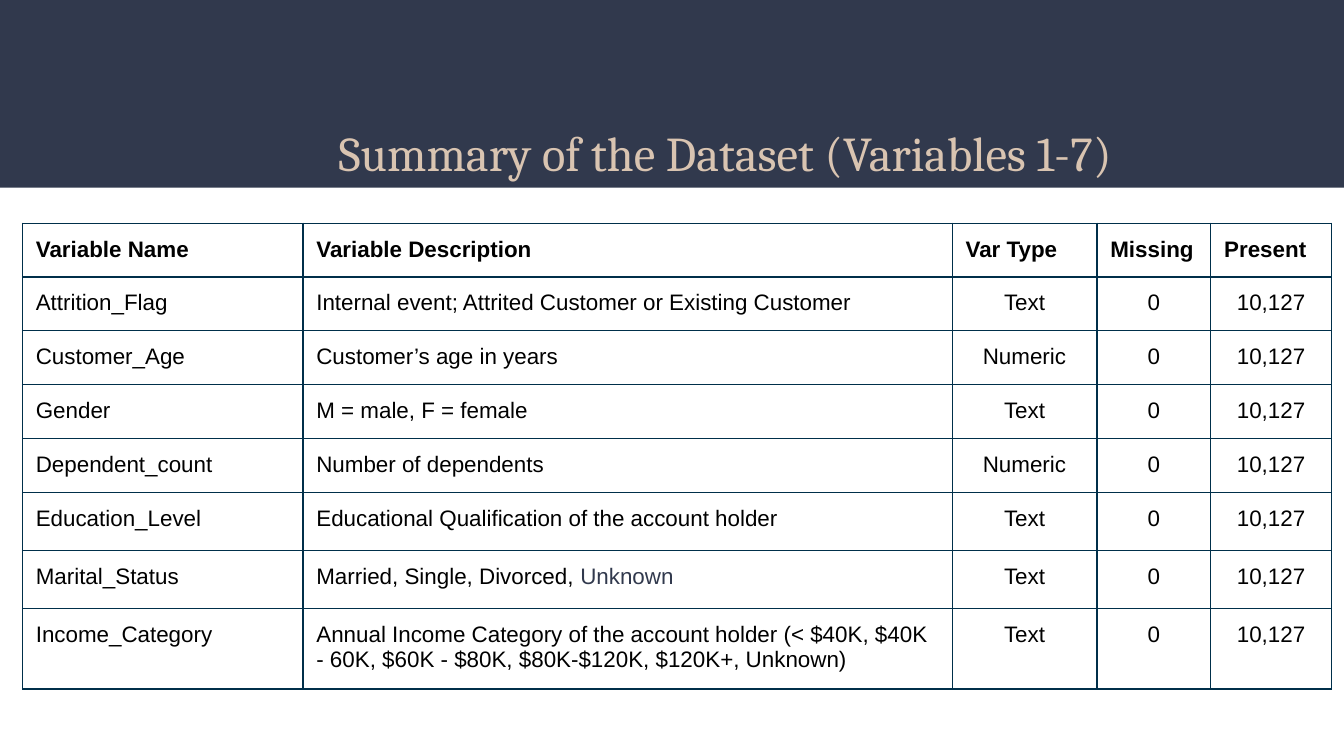
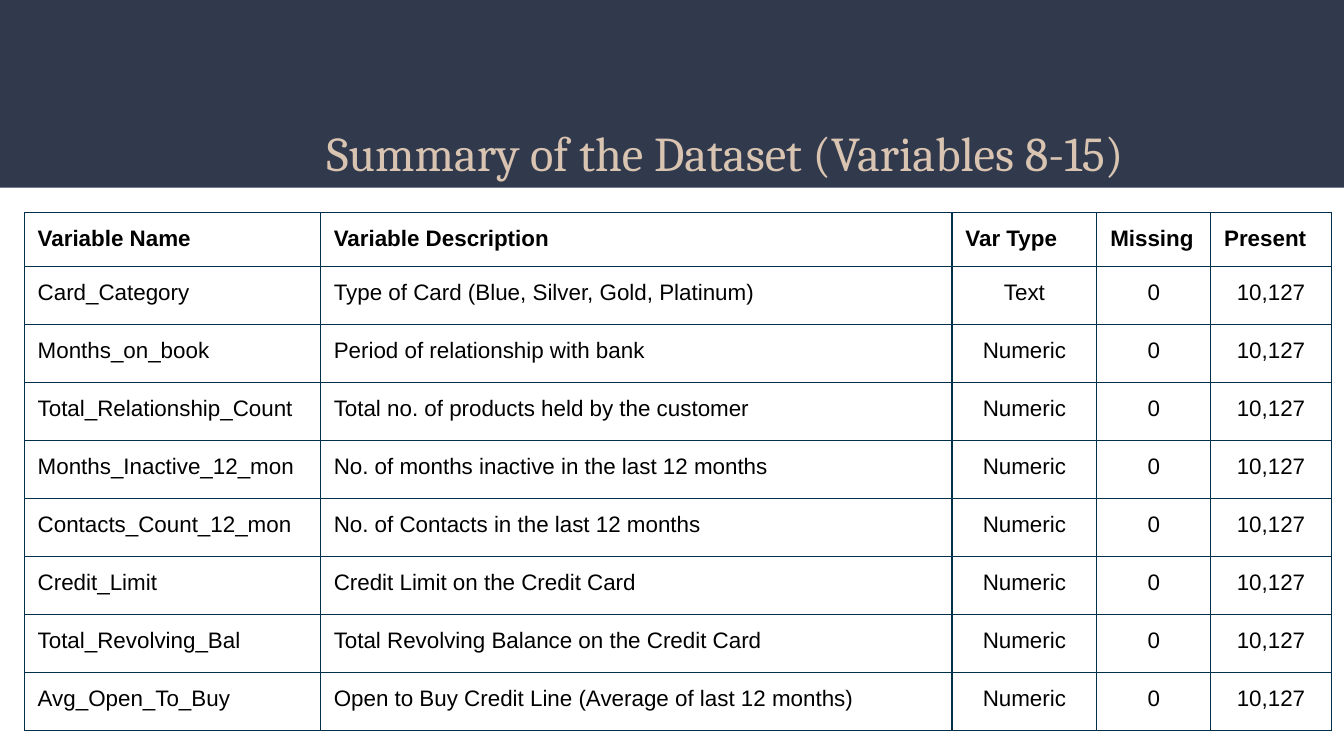
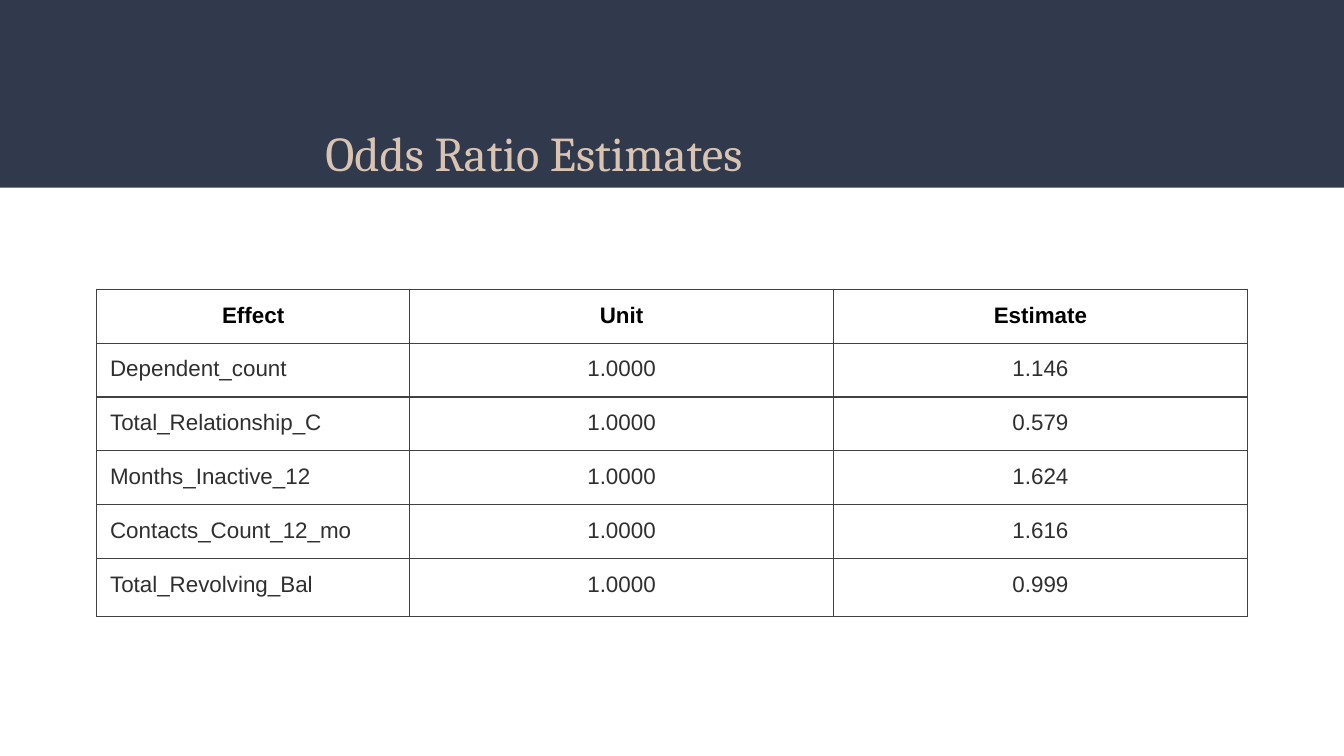
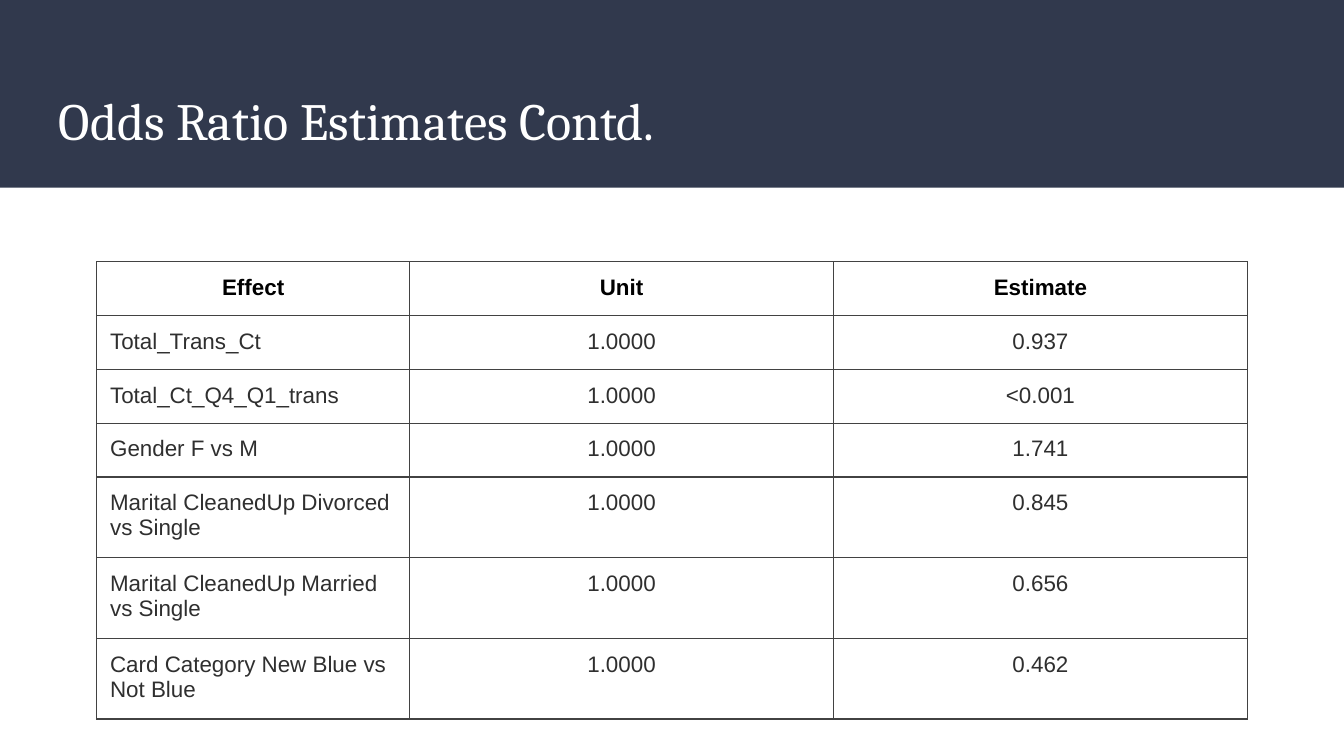
from pptx import Presentation
from pptx.dml.color import RGBColor
from pptx.enum.shapes import MSO_SHAPE as Shape
from pptx.enum.text import MSO_ANCHOR as Anchor, MSO_AUTO_SIZE as AutoSize, PP_ALIGN as Align
from pptx.oxml import parse_xml
from pptx.oxml.ns import nsdecls
from pptx.util import Pt

# Shared look
NAVY = RGBColor(0x31, 0x39, 0x4D)
SAND = RGBColor(0xD9, 0xC4, 0xB1)
WHITE = RGBColor(0xFF, 0xFF, 0xFF)
BLACK = RGBColor(0x00, 0x00, 0x00)
CHARCOAL = RGBColor(0x2F, 0x2F, 0x2F)
BLUE_RULE = RGBColor(0x00, 0x2F, 0x4A)
GREY_RULE = RGBColor(0x42, 0x42, 0x42)
TITLE_FONT, BODY_FONT = "Cambria", "Arial"
SLIDE_WIDTH, SLIDE_HEIGHT, BAND_HEIGHT = 720, 405, 100.6
INSET = 7.2
ROW, TALL_ROW = 28.8, 31.1
RULE_WIDTH = 0.75

# Table contents
SUMMARY_HEADER = ("Variable Name", "Variable Description", "Var Type", "Missing", "Present")
COUNTS = ("0", "10,127")
VARIABLES_1_TO_7 = [
    ("Attrition_Flag", "Internal event; Attrited Customer or Existing Customer", "Text"),
    ("Customer_Age", "Customer’s age in years", "Numeric"),
    ("Gender", "M = male, F = female", "Text"),
    ("Dependent_count", "Number of dependents", "Numeric"),
    ("Education_Level", "Educational Qualification of the account holder", "Text"),
    ("Marital_Status", ("Married, Single, Divorced, ", "Unknown"), "Text"),
    ("Income_Category", "Annual Income Category of the account holder "
     "(< $40K, $40K - 60K, $60K - $80K, $80K-$120K, $120K+, Unknown)", "Text"),
]
VARIABLES_8_TO_15 = [
    ("Card_Category", "Type of Card (Blue, Silver, Gold, Platinum)", "Text"),
    ("Months_on_book", "Period of relationship with bank", "Numeric"),
    ("Total_Relationship_Count", "Total no. of products held by the customer", "Numeric"),
    ("Months_Inactive_12_mon", "No. of months inactive in the last 12 months", "Numeric"),
    ("Contacts_Count_12_mon", "No. of Contacts in the last 12 months", "Numeric"),
    ("Credit_Limit", "Credit Limit on the Credit Card", "Numeric"),
    ("Total_Revolving_Bal", "Total Revolving Balance on the Credit Card", "Numeric"),
    ("Avg_Open_To_Buy", "Open to Buy Credit Line (Average of last 12 months)", "Numeric"),
]
ODDS_HEADER = ("Effect", "Unit", "Estimate")
UNIT = "1.0000"
ODDS = [
    ("Dependent_count", "1.146"),
    ("Total_Relationship_C", "0.579"),
    ("Months_Inactive_12", "1.624"),
    ("Contacts_Count_12_mo", "1.616"),
    ("Total_Revolving_Bal", "0.999"),
]
ODDS_CONTINUED = [
    ("Total_Trans_Ct", "0.937"),
    ("Total_Ct_Q4_Q1_trans", "<0.001"),
    ("Gender F vs M", "1.741"),
    ("Marital CleanedUp Divorced vs Single", "0.845"),
    ("Marital CleanedUp Married vs Single", "0.656"),
    ("Card Category New Blue vs Not Blue", "0.462"),
]


def add_banded_slide(presentation):
    slide = presentation.slides.add_slide(presentation.slide_layouts[6])
    band = slide.shapes.add_shape(Shape.RECTANGLE, 0, 0, Pt(SLIDE_WIDTH), Pt(BAND_HEIGHT))
    band.shadow.inherit = False
    band.fill.solid()
    band.fill.fore_color.rgb = NAVY
    band.line.fill.background()
    return slide


def add_title(slide, box, text, size, color):
    shape = slide.shapes.add_textbox(*map(Pt, box))
    text_frame = shape.text_frame
    text_frame.word_wrap = True
    text_frame.margin_left = text_frame.margin_right = Pt(INSET)
    text_frame.margin_top = text_frame.margin_bottom = Pt(INSET)
    text_frame.text = text
    font = text_frame.paragraphs[0].runs[0].font
    font.name, font.size, font.color.rgb = TITLE_FONT, Pt(size), color
    return text_frame


def add_indented_title(slide, width, text):
    """Sand title, centred and set low in the band by double line spacing."""
    text_frame = add_title(slide, (-14.4, 27.4, width, 46), text, 26, SAND)
    text_frame.auto_size = AutoSize.SHAPE_TO_FIT_TEXT
    paragraph = text_frame.paragraphs[0]
    paragraph.alignment = Align.CENTER
    paragraph.line_spacing = 2.0
    properties = paragraph._p.get_or_add_pPr()
    properties.set("marL", str(Pt(72)))
    properties.set("indent", "0")


def style_cell(cell, content, alignment, bold, color, rule):
    # Borders go before the fill
    properties = cell._tc.get_or_add_tcPr()
    for side in ("lnL", "lnR", "lnT", "lnB"):
        properties.append(parse_xml(
            f'<a:{side} {nsdecls("a")} w="{Pt(RULE_WIDTH)}"><a:solidFill>'
            f'<a:srgbClr val="{rule}"/></a:solidFill></a:{side}>'))
    cell.fill.background()
    cell.margin_left = cell.margin_right = Pt(INSET)
    cell.margin_top = cell.margin_bottom = Pt(INSET)
    # A pair holds plain text and a navy ending
    pieces = (content,) if isinstance(content, str) else content
    paragraph = cell.text_frame.paragraphs[0]
    paragraph.alignment = alignment
    for piece, piece_color in zip(pieces, (color, NAVY)):
        run = paragraph.add_run()
        run.text = piece
        font = run.font
        font.name, font.size, font.bold = BODY_FONT, Pt(12), bold
        font.color.rgb = piece_color


def add_grid(slide, left, top, widths, heights, rows, centred_from, header_alignment,
             body_color, rule):
    """Ruled table; body columns are centred from the given column onwards."""
    table = slide.shapes.add_table(len(rows), len(widths), Pt(left), Pt(top),
                                   Pt(sum(widths)), Pt(sum(heights))).table
    table.first_row = table.horz_banding = False
    for column, width in zip(table.columns, widths):
        column.width = Pt(width)
    for row_index, (contents, height) in enumerate(zip(rows, heights)):
        table.rows[row_index].height = Pt(height)
        is_header = row_index == 0
        for column_index, content in enumerate(contents):
            body_alignment = Align.CENTER if column_index >= centred_from else Align.LEFT
            style_cell(table.cell(row_index, column_index), content,
                       header_alignment if is_header else body_alignment,
                       is_header, BLACK if is_header else body_color, rule)


def summary_slide(presentation, title, left, top, name_widths, tall_rows, variables):
    slide = add_banded_slide(presentation)
    add_indented_title(slide, 734.4, title)
    rows = [SUMMARY_HEADER] + [variable + COUNTS for variable in variables]
    heights = [ROW] * (len(rows) - tall_rows) + [TALL_ROW] * tall_rows
    add_grid(slide, left, top, name_widths + (77.6, 61, 64.7), heights, rows, 2,
             Align.LEFT, BLACK, BLUE_RULE)


def odds_slide(presentation, top, tall_rows, estimates):
    slide = add_banded_slide(presentation)
    rows = [ODDS_HEADER] + [(effect, UNIT, estimate) for effect, estimate in estimates]
    heights = [ROW] * (len(rows) - tall_rows) + [TALL_ROW] * tall_rows
    add_grid(slide, 51.8, top, (167.7, 227, 221.8), heights, rows, 1,
             Align.CENTER, CHARCOAL, GREY_RULE)
    return slide


def main():
    presentation = Presentation()
    presentation.slide_width, presentation.slide_height = Pt(SLIDE_WIDTH), Pt(SLIDE_HEIGHT)

    summary_slide(presentation, "Summary of the Dataset (Variables 1-7)",
                  12, 119.6, (150.3, 347.8), 3, VARIABLES_1_TO_7)
    summary_slide(presentation, "Summary of the Dataset (Variables 8-15)",
                  13, 113.8, (158.6, 338.4), 8, VARIABLES_8_TO_15)

    slide = odds_slide(presentation, 155, 1, ODDS)
    add_indented_title(slide, 529.2, "Odds Ratio Estimates")

    slide = odds_slide(presentation, 140.2, 2, ODDS_CONTINUED)
    text_frame = add_title(slide, (24.5, 39.6, 671, 49), "Odds Ratio Estimates Contd.", 28, WHITE)
    text_frame.vertical_anchor = Anchor.MIDDLE

    presentation.save("out.pptx")


if __name__ == "__main__":
    main()
